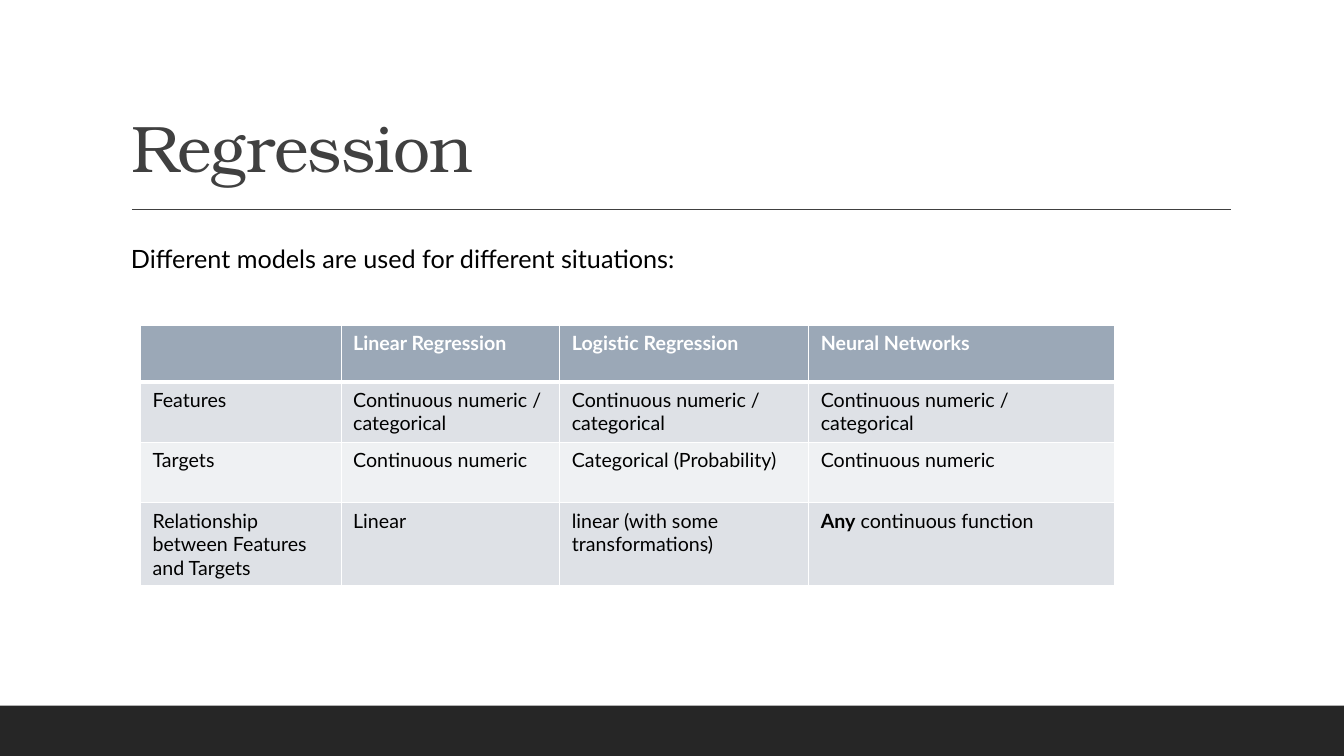
from dataclasses import dataclass
from typing import NamedTuple

from lxml.etree import SubElement
from pptx import Presentation
from pptx.dml.color import RGBColor
from pptx.enum.shapes import MSO_CONNECTOR, MSO_SHAPE
from pptx.enum.text import MSO_ANCHOR, MSO_AUTO_SIZE
from pptx.oxml.ns import qn
from pptx.slide import Slide
from pptx.table import _Cell
from pptx.text.text import _Paragraph, _Run
from pptx.util import Pt


@dataclass(frozen=True)
class Theme:
    white: RGBColor = RGBColor(0xFF, 0xFF, 0xFF)
    black: RGBColor = RGBColor(0, 0, 0)
    dark: RGBColor = RGBColor(0x26, 0x26, 0x26)
    gray: RGBColor = RGBColor(0x40, 0x40, 0x40)
    head: RGBColor = RGBColor(0x9B, 0xA8, 0xB7)
    odd: RGBColor = RGBColor(0xDE, 0xE1, 0xE6)
    even: RGBColor = RGBColor(0xEF, 0xF1, 0xF3)
    serif: str = "TeX Gyre Bonum"
    sans: str = "Lato"
    title: float = 47
    lead: float = 18
    body: float = 14


class Part(NamedTuple):
    text: str
    bold: bool = False


@dataclass(frozen=True)
class Row:
    height: float
    cells: tuple[tuple[Part, ...], ...]


THEME = Theme()
WIDTHS = (143.3, 156.2, 177.8, 218.2)
MIXED = (Part("Continuous numeric / categorical"),)
NUMBER = (Part("Continuous numeric"),)
ROWS = (
    Row(40.3, ((), (Part("Linear Regression", True),),
               (Part("Logistic Regression", True),),
               (Part("Neural Networks", True),))),
    Row(43.2, ((Part("Features"),), MIXED, MIXED, MIXED)),
    Row(43.2, ((Part("Targets"),), NUMBER,
               (Part("Categorical (Probability)"),), NUMBER)),
    Row(59, ((Part("Relationship between Features and Targets"),),
             (Part("Linear"),),
             (Part("linear (with some transformations)"),),
             (Part("Any", True), Part(" continuous function")))),
)


def add_run(para: _Paragraph, part: Part, face: str, size: float,
            color: RGBColor) -> _Run:
    run = para.add_run()
    run.text = part.text
    run.font.name = face
    run.font.size = Pt(size)
    run.font.bold = part.bold
    run.font.color.rgb = color
    return run


def add_edge(cell: _Cell, side: str, width: float) -> None:
    line = SubElement(cell._tc.get_or_add_tcPr(), qn(f"a:ln{side}"), w=str(Pt(width)))
    fill = SubElement(line, qn("a:solidFill"))
    SubElement(fill, qn("a:srgbClr"), val=str(THEME.white))


def draw_frame(slide: Slide) -> None:
    band = slide.shapes.add_shape(MSO_SHAPE.RECTANGLE, 0, Pt(504), Pt(960), Pt(36))
    band.shadow.inherit = False
    band.fill.solid()
    band.fill.fore_color.rgb = THEME.dark
    band.line.fill.background()
    rule = slide.shapes.add_connector(
        MSO_CONNECTOR.STRAIGHT, Pt(94.3), Pt(149.5), Pt(879), Pt(149.5))
    rule.line.color.rgb = THEME.gray
    rule.line.width = Pt(1)
    SubElement(rule._element.spPr, qn("a:effectLst"))


def draw_title(slide: Slide) -> None:
    title = slide.shapes.title
    title.left, title.top, title.width, title.height = Pt(86.4), Pt(22.3), Pt(792), Pt(114.5)
    frame = title.text_frame
    frame.word_wrap = True
    frame.auto_size = MSO_AUTO_SIZE.NONE
    frame.vertical_anchor = MSO_ANCHOR.BOTTOM
    para = frame.paragraphs[0]
    para.line_spacing = 0.9
    para.alignment = 1
    run = add_run(para, Part("Regression"), THEME.serif, THEME.title, THEME.gray)
    run.font._element.set("spc", "-50")


def draw_lead(slide: Slide) -> None:
    box = slide.shapes.add_textbox(Pt(86.4), Pt(170.6), Pt(750.2), Pt(29))
    frame = box.text_frame
    frame.word_wrap = True
    frame.auto_size = MSO_AUTO_SIZE.SHAPE_TO_FIT_TEXT
    add_run(frame.paragraphs[0], Part("Different models are used for different situations:"),
            THEME.sans, THEME.lead, THEME.black)


def draw_cell(cell: _Cell, parts: tuple[Part, ...], level: int) -> None:
    cell.margin_left = cell.margin_right = Pt(8.6)
    cell.margin_top = cell.margin_bottom = Pt(4.3)
    top = 3 if level == 1 else 1
    base = 3 if level == 0 else 1
    for side, width in (("L", 1), ("R", 1), ("T", top), ("B", base)):
        add_edge(cell, side, width)
    cell.fill.solid()
    if level == 0:
        fill, ink = THEME.head, THEME.white
    else:
        fill, ink = (THEME.odd if level % 2 else THEME.even), THEME.black
    cell.fill.fore_color.rgb = fill
    for part in parts:
        add_run(cell.text_frame.paragraphs[0], part, THEME.sans, THEME.body, ink)


def draw_table(slide: Slide) -> None:
    table = slide.shapes.add_table(
        len(ROWS), len(WIDTHS), Pt(100.4), Pt(232.5), Pt(sum(WIDTHS)),
        Pt(sum(row.height for row in ROWS))).table
    table.horz_banding = False
    for column, width in zip(table.columns, WIDTHS):
        column.width = Pt(width)
    for level, row in enumerate(ROWS):
        table.rows[level].height = Pt(row.height)
        for place, parts in enumerate(row.cells):
            draw_cell(table.cell(level, place), parts, level)


def main() -> None:
    deck = Presentation()
    deck.slide_width, deck.slide_height = Pt(960), Pt(540)
    slide = deck.slides.add_slide(deck.slide_layouts.get_by_name("Title Only"))
    draw_frame(slide)
    draw_title(slide)
    draw_lead(slide)
    draw_table(slide)
    deck.save("out.pptx")


if __name__ == "__main__":
    main()
